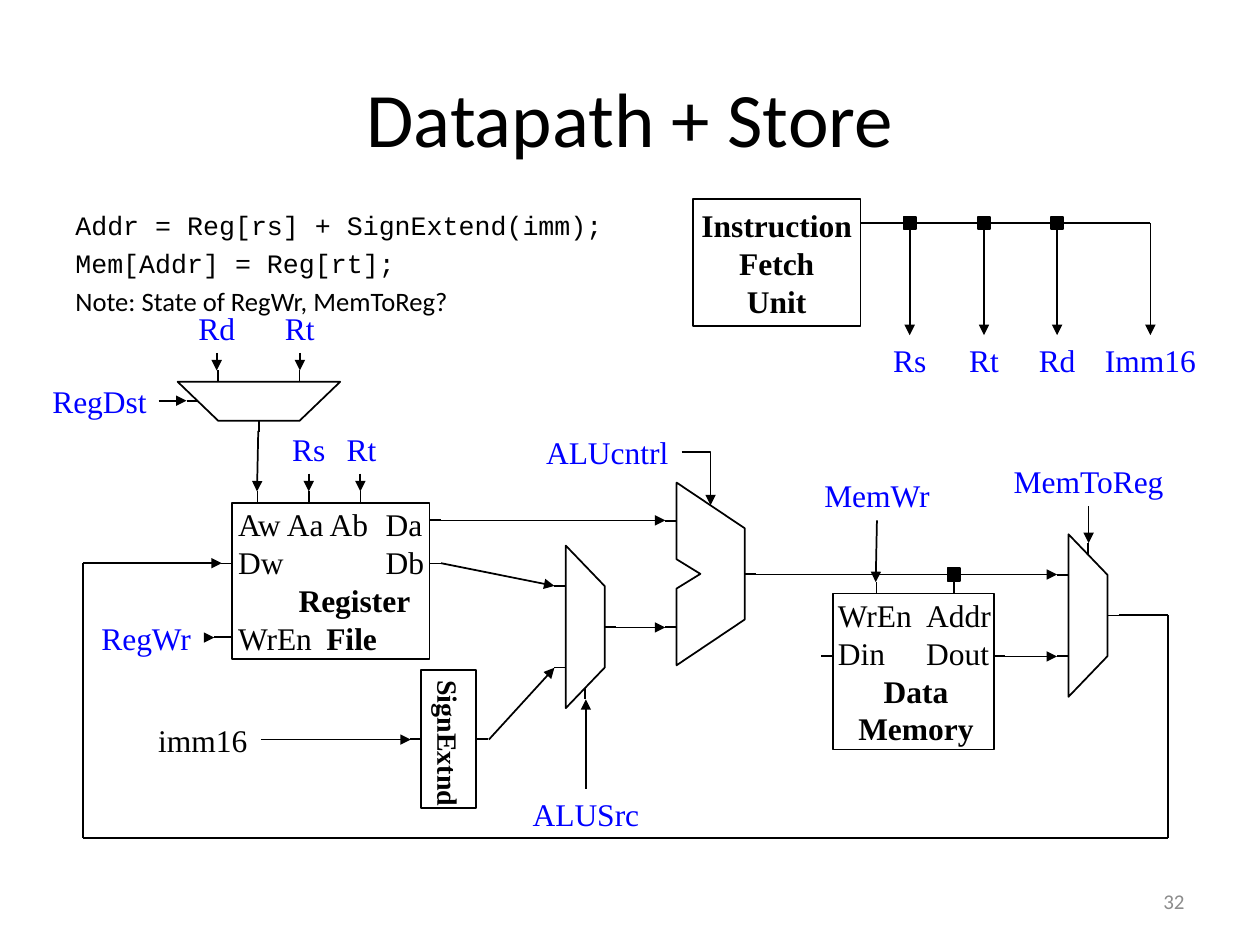
from collections import namedtuple

from lxml import etree
from pptx import Presentation
from pptx.dml.color import RGBColor
from pptx.enum.shapes import MSO_CONNECTOR, MSO_SHAPE
from pptx.enum.text import MSO_ANCHOR, PP_ALIGN
from pptx.oxml.ns import qn
from pptx.util import Inches, Pt

BLACK = RGBColor(0, 0, 0)
WHITE = RGBColor(255, 255, 255)
BLUE = RGBColor(0, 0, 255)
GRAY = RGBColor(0x8C, 0x8C, 0x8C)
SERIF, SANS, MONO = "Times New Roman", "Calibri", "Courier New"
LEFT_ALIGN, CENTER, RIGHT_ALIGN = PP_ALIGN.LEFT, PP_ALIGN.CENTER, PP_ALIGN.RIGHT
MIDDLE = MSO_ANCHOR.MIDDLE
RECTANGLE = MSO_SHAPE.RECTANGLE
STRAIGHT, ELBOW = MSO_CONNECTOR.STRAIGHT, MSO_CONNECTOR.ELBOW
LEFT, RIGHT, UP, DOWN = (-1, 0), (1, 0), (0, -1), (0, 1)
STUB = 0.09  # length of a pin, in inches
DOT = 0.1  # side of a junction, in inches

Box = namedtuple("Box", "x y w h")
Row = namedtuple("Row", "spans align tab", defaults=(CENTER, None))


def at(box, u, v):
    """Point at shares u, v of the box."""
    return box.x + u * box.w, box.y + v * box.h


def add_span(para, text, size=18, font=SERIF, color=BLACK, bold=False):
    span = para.add_run()
    span.text = text
    span.font.size, span.font.name, span.font.bold = Pt(size), font, bold
    span.font.color.rgb = color


def add_text(page, box, text, align=CENTER, wrap=True, anchor=MIDDLE, **style):
    frame = page.shapes.add_textbox(*map(Inches, box)).text_frame
    frame.word_wrap, frame.vertical_anchor = wrap, anchor
    frame.paragraphs[0].alignment = align
    add_span(frame.paragraphs[0], text, **style)
    return frame


def label(page, text, center, top, width, color=BLUE):
    add_text(page, Box(center - width / 2, top, width, 0.4), text, wrap=False, color=color)


def paint(shape, fill=WHITE):
    shape.shadow.inherit = False
    shape.fill.solid()
    shape.fill.fore_color.rgb = fill
    shape.line.color.rgb = BLACK
    shape.line.width = Pt(1)


def wire(page, start, end, arrow=False, kind=STRAIGHT):
    line = page.shapes.add_connector(kind, *map(Inches, (*start, *end)))
    line.line.color.rgb = BLACK
    line.line.width = Pt(1)
    properties = line.element.spPr
    if kind == ELBOW:
        properties.find(qn("a:prstGeom")).set("prst", "bentConnector2")
    if arrow:
        etree.SubElement(line.line._get_or_add_ln(), qn("a:tailEnd")).set("type", "triangle")
    etree.SubElement(properties, qn("a:effectLst"))


def route(page, *points):
    """Chain of straight wires with an arrowhead at the last point."""
    for start, end in zip(points, points[1:]):
        wire(page, start, end, arrow=end is points[-1])


def pin(page, box, u, v, side, length=STUB):
    x, y = at(box, u, v)
    wire(page, (x, y), (x + side[0] * length, y + side[1] * length))


def junction(page, x, y):
    corner = Box(x - DOT / 2, y - DOT / 2, DOT, DOT)
    paint(page.shapes.add_shape(RECTANGLE, *map(Inches, corner)), BLACK)


def outline(page, box, shares):
    points = [tuple(map(Inches, at(box, u, v))) for u, v in shares]
    builder = page.shapes.build_freeform(*points[0], scale=1.0)
    builder.add_line_segments(points[1:], close=True)
    paint(builder.convert_to_shape())


def chip(page, box, rows, size=18, inset=0.05):
    """Rectangle with one paragraph per row; a row may hold a tab stop."""
    shape = page.shapes.add_shape(RECTANGLE, *map(Inches, box))
    paint(shape)
    frame = shape.text_frame
    frame.word_wrap, frame.vertical_anchor = True, MIDDLE
    frame.margin_left, frame.margin_right = Inches(inset), 0
    frame.margin_top = frame.margin_bottom = 0
    for index, row in enumerate(rows):
        para = frame.add_paragraph() if index else frame.paragraphs[0]
        para.alignment = row.align
        if row.tab:
            stops = etree.SubElement(para._p.get_or_add_pPr(), qn("a:tabLst"))
            etree.SubElement(stops, qn("a:tab"), pos=str(Inches(row.tab)), algn="l")
        for text, bold in row.spans:
            add_span(para, text, size=size, bold=bold)
    return shape


def mux(page, box, select_side, downward=False):
    turn = (lambda u, v: (v, u)) if downward else (lambda u, v: (u, v))
    outline(page, box, [turn(*point) for point in ((0, 0), (1, 0.25), (1, 0.75), (0, 1))])
    for share in (0.25, 0.75):
        pin(page, box, *turn(0, share), turn(*LEFT))
    pin(page, box, *turn(1, 0.5), turn(*RIGHT))
    select = 0.125 if select_side in (UP, LEFT) else 0.875
    pin(page, box, *turn(0.5, select), select_side)


def alu(page, box):
    outline(page, box, [(0, 0), (1, 0.25), (1, 0.75), (0, 1), (0, 0.58), (0.35, 0.5), (0, 0.42)])
    for share in (0.21, 0.79):
        pin(page, box, 0, share, LEFT)
    pin(page, box, 1, 0.5, RIGHT)


def register_file(page, box):
    chip(page, box, [
        Row([("Aw Aa Ab\tDa", False)], LEFT_ALIGN, 1.17),
        Row([("Dw\tDb", False)], LEFT_ALIGN, 1.17),
        Row([("\t", False), ("Register", True)], LEFT_ALIGN, 0.48),
        Row([("WrEn\t", False), ("File", True)], LEFT_ALIGN, 0.7),
    ])
    for share in (0.13, 0.39, 0.65):
        pin(page, box, share, 0, UP)
    for share in (0.11, 0.39):
        pin(page, box, 1, share, RIGHT)
    pin(page, box, 0, 0.39, LEFT)
    pin(page, box, 0, 0.86, LEFT, 0.14)


def data_memory(page, box):
    chip(page, box, [
        Row([("WrEn\tAddr", False)], LEFT_ALIGN, 0.7),
        Row([("Din\tDout", False)], LEFT_ALIGN, 0.7),
        Row([("Data", True)]), Row([("Memory", True)]),
    ], inset=0.04)
    for u, v, side in ((0.27, 0, UP), (0.75, 0, UP), (0, 0.4, LEFT), (1, 0.4, RIGHT)):
        pin(page, box, u, v, side)


def sign_extender(page, box):
    shape = chip(page, box, [Row([("SignExtnd", True)])], size=16, inset=0)
    shape.text_frame.margin_top = Inches(0.08)
    shape.text_frame.word_wrap = False
    shape.element.txBody.bodyPr.set("vert", "eaVert")
    pin(page, box, 0, 0.5, LEFT)
    pin(page, box, 1, 0.5, RIGHT)


def fetch_unit(page, box):
    chip(page, Box(box.x, box.y, 1.33, 1.01),
         [Row([(word, True)]) for word in ("Instruction", "Fetch", "Unit")], inset=0)
    bus = box.y + 0.19
    wire(page, (box.x + 1.33, bus), (box.x + 3.63, bus))
    fields = (("Rs", 1.72, 0.47), ("Rt", 2.31, 0.44), ("Rd", 2.89, 0.49), ("Imm16", 3.63, 0.92))
    for field, offset, width in fields:
        x = box.x + offset
        if field != "Imm16":
            junction(page, x, bus)
        wire(page, (x, bus), (x, box.y + 1.08), arrow=True)
        label(page, field, x, box.y + 1.08, width)


def heading(page):
    add_text(page, Box(0.5, 0.3, 9, 1.25), "Datapath + Store", size=44, font=SANS)
    add_text(page, Box(7.17, 6.95, 2.33, 0.4), "32", RIGHT_ALIGN, size=12, font=SANS, color=GRAY)
    frame = add_text(page, Box(0.5, 1.61, 4.83, 0.83), "Addr = Reg[rs] + SignExtend(imm);",
                     LEFT_ALIGN, anchor=MSO_ANCHOR.TOP, size=15.2, font=MONO)
    for text, font in (("Mem[Addr] = Reg[rt];", MONO), ("Note: State of RegWr, MemToReg?", SANS)):
        para = frame.add_paragraph()
        para.space_before = Pt(3.5)
        add_span(para, text, size=15.2, font=font)


def data_wires(page):
    route(page, (8.88, 4.88), (9.27, 4.88), (9.27, 6.65), (0.66, 6.65), (0.66, 4.47), (1.76, 4.47))
    for start, end in (
        ((3.5, 4.13), (5.28, 4.13)), ((3.5, 4.47), (4.4, 4.65)), ((3.88, 5.87), (4.4, 5.3)),
        ((4.89, 4.98), (5.28, 4.98)), ((6, 4.56), (8.39, 4.56)), ((7.98, 5.21), (8.39, 5.21)),
        ((2.07, 5.87), (3.26, 5.87)), ((2.05, 3.42), (2.04, 3.9)),
    ):
        route(page, start, end)
    junction(page, 7.57, 4.56)
    label(page, "imm16", 1.61, 5.67, 0.91, BLACK)


def control_signals(page):
    for text, center, top, width, start, end in (
        ("Rd", 1.72, 2.4, 0.49, (1.72, 2.8), (1.72, 2.94)),
        ("Rt", 2.38, 2.4, 0.44, (2.38, 2.8), (2.38, 2.94)),
        ("RegDst", 0.79, 2.98, 0.95, (1.26, 3.18), (1.48, 3.18)),
        ("Rs", 2.45, 3.36, 0.47, (2.45, 3.76), (2.45, 3.9)),
        ("Rt", 2.87, 3.36, 0.44, (2.86, 3.76), (2.86, 3.9)),
        ("RegWr", 1.16, 4.86, 0.92, (1.62, 5.06), (1.7, 5.06)),
        ("ALUSrc", 4.65, 6.26, 1.05, (4.65, 6.26), (4.65, 5.55)),
        ("MemWr", 6.96, 3.73, 1.05, (6.96, 4.13), (6.95, 4.62)),
        ("MemToReg", 8.64, 3.62, 1.41, (8.64, 4.02), (8.64, 4.31)),
    ):
        label(page, text, center, top, width)
        route(page, start, end)
    label(page, "ALUcntrl", 4.82, 3.39, 1.17)
    wire(page, (5.41, 3.59), (5.64, 4.01), arrow=True, kind=ELBOW)


def main():
    deck = Presentation()
    deck.slide_width, deck.slide_height = Inches(10), Inches(7.5)
    page = deck.slides.add_slide(deck.slide_layouts[6])
    heading(page)
    alu(page, Box(5.37, 3.83, 0.54, 1.45))
    mux(page, Box(4.49, 4.33, 0.31, 1.29), DOWN)
    mux(page, Box(8.48, 4.24, 0.31, 1.29), UP)
    mux(page, Box(1.41, 3.03, 1.29, 0.31), LEFT, downward=True)
    sign_extender(page, Box(3.34, 5.32, 0.44, 1.09))
    data_memory(page, Box(6.61, 4.71, 1.28, 1.24))
    register_file(page, Box(1.84, 3.99, 1.57, 1.24))
    fetch_unit(page, Box(5.5, 1.58, 4.09, 1.48))
    data_wires(page)
    control_signals(page)
    deck.save("out.pptx")


if __name__ == "__main__":
    main()
